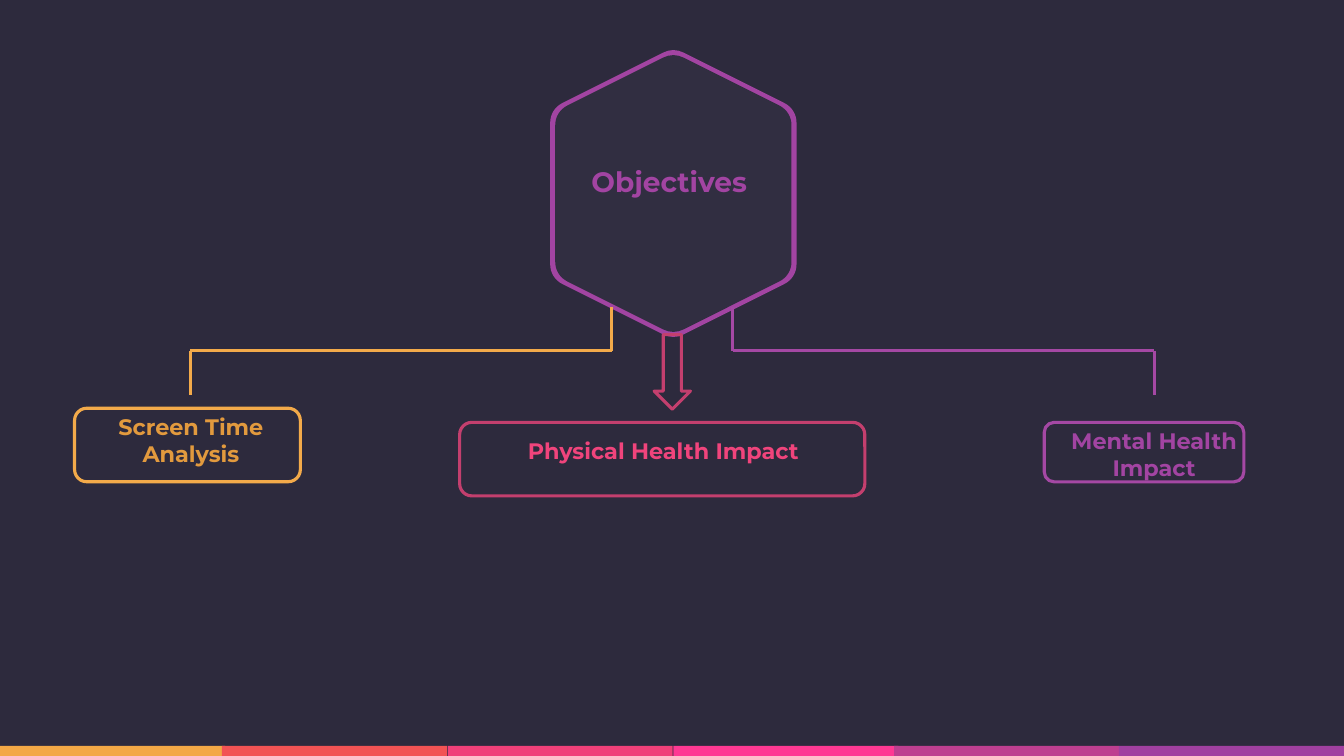
from dataclasses import dataclass

from lxml import etree
from pptx import Presentation
from pptx import util as u
from pptx.dml import color
from pptx.enum import shapes, text
from pptx.oxml import ns

ORANGE, PURPLE, ROSE, VIOLET = "F3AA4A", "A448A4", "C33F6E", "A244A2"
BACKGROUND, HEXAGON_FILL = "2D2A3D", "312E41"
KIND = shapes.MSO_SHAPE


@dataclass(frozen=True)
class Box:
    left: float
    top: float
    width: float
    height: float

    def lengths(self) -> list[u.Length]:
        return [u.Pt(v) for v in (self.left, self.top, self.width, self.height)]


@dataclass(frozen=True)
class Objective:
    label: str
    label_box: Box
    frame: Box
    frame_color: str
    label_color: str
    wrap: bool = True


@dataclass(frozen=True)
class Branch:
    """Stepped line from the hexagon down to an objective."""
    start_x: float
    end_x: float
    color: str


STRIPES = [
    (0, "F3A846"), (158.4, "F25354"), (319.68, "F04079"),
    (480.96, "FF3993"), (638.64, "BE3F90"), (799.2, "A040A0"),
]
HEXAGONS = [
    (Box(394.56, 66.24, 172.8, 144), VIOLET),
    (Box(398.16, 69.84, 165.6, 136.8), HEXAGON_FILL),
]
BRANCHES = [Branch(437.04, 136.08, ORANGE), Branch(523.44, 824.4, PURPLE)]
BRANCH_TOP, BRANCH_BEND, BRANCH_BOTTOM = 219.6, 250.5, 282.24
OBJECTIVES = [
    Objective("Screen Time Analysis", Box(58.32, 291.6, 156.24, 46.08),
              Box(53.28, 291.6, 161.28, 52.56), ORANGE, "E29A3E"),
    Objective("Physical Health Impact", Box(368.64, 308.88, 210.24, 26.64),
              Box(328.32, 301.68, 289.44, 52.56), ROSE, "F0447C", wrap=False),
    Objective("Mental Health Impact", Box(753.12, 301.68, 142.56, 46.08),
              Box(745.92, 301.68, 142.56, 42.48), PURPLE, VIOLET),
]


def rgb(value: str) -> color.RGBColor:
    return color.RGBColor.from_string(value)


def add_figure(slide, kind, box: Box, fill: str | None = None,
               line: str | None = None, weight: float = 2.25):
    figure = slide.shapes.add_shape(kind, *box.lengths())
    figure.shadow.inherit = False
    if fill:
        figure.fill.solid()
        figure.fill.fore_color.rgb = rgb(fill)
    else:
        figure.fill.background()
    if line:
        figure.line.color.rgb = rgb(line)
        figure.line.width = u.Pt(weight)
    else:
        figure.line.fill.background()
    return figure


def add_label(slide, content: str, box: Box, *, size: float, ink: str, wrap: bool) -> None:
    frame = slide.shapes.add_textbox(*box.lengths()).text_frame
    frame.word_wrap = wrap
    frame.auto_size = text.MSO_AUTO_SIZE.SHAPE_TO_FIT_TEXT
    paragraph = frame.paragraphs[0]
    paragraph.alignment = text.PP_ALIGN.CENTER
    run = paragraph.add_run()
    run.text = content
    run.font.name = "Montserrat"
    run.font.size = u.Pt(size)
    run.font.bold = True
    run.font.color.rgb = rgb(ink)


def add_branch(slide, branch: Branch) -> None:
    corners = [
        (branch.start_x, BRANCH_TOP), (branch.start_x, BRANCH_BEND),
        (branch.end_x, BRANCH_BEND), (branch.end_x, BRANCH_BOTTOM),
    ]
    for start, end in zip(corners, corners[1:]):
        segment = slide.shapes.add_connector(
            shapes.MSO_CONNECTOR.STRAIGHT, *(u.Pt(v) for v in start + end))
        segment.line.color.rgb = rgb(branch.color)
        segment.line.width = u.Pt(2.25)
        etree.SubElement(segment.element.spPr, ns.qn("a:effectLst"))


def add_hexagon(slide, box: Box, line: str) -> None:
    """Upright hexagon whose thick outline has rounded corners."""
    hexagon = add_figure(slide, KIND.HEXAGON, box, HEXAGON_FILL, line, 32)
    hexagon.rotation = 90
    etree.SubElement(hexagon.element.spPr.find(ns.qn("a:ln")), ns.qn("a:round"))


def main() -> None:
    deck = Presentation()
    deck.slide_width, deck.slide_height = u.Pt(960), u.Pt(540)
    slide = deck.slides.add_slide(deck.slide_layouts[6])
    slide.background.fill.solid()
    slide.background.fill.fore_color.rgb = rgb(BACKGROUND)

    for left, fill in STRIPES:
        add_figure(slide, KIND.RECTANGLE, Box(left, 532.8, 160.8, 7.2), fill)
    for box, line in HEXAGONS:
        add_hexagon(slide, box, line)
    for branch in BRANCHES:
        add_branch(slide, branch)
    add_label(slide, "Objectives", Box(414.72, 113.76, 126.72, 31.68),
              size=20, ink=VIOLET, wrap=False)
    add_figure(slide, KIND.DOWN_ARROW, Box(467.28, 239.04, 25.92, 53.28), line=ROSE)
    for objective in OBJECTIVES:
        add_label(slide, objective.label, objective.label_box, size=16,
                  ink=objective.label_color, wrap=objective.wrap)
        add_figure(slide, KIND.ROUNDED_RECTANGLE, objective.frame,
                   line=objective.frame_color)

    deck.save("out.pptx")


if __name__ == "__main__":
    main()
